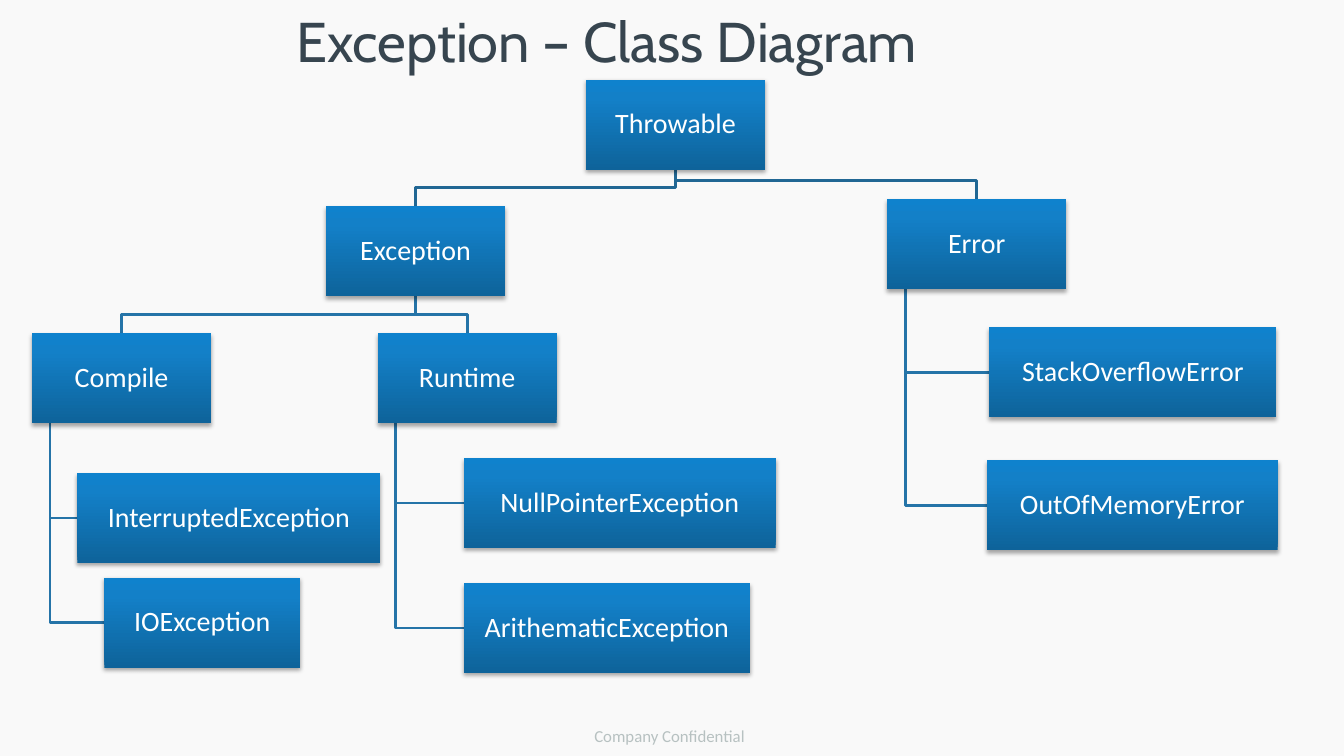
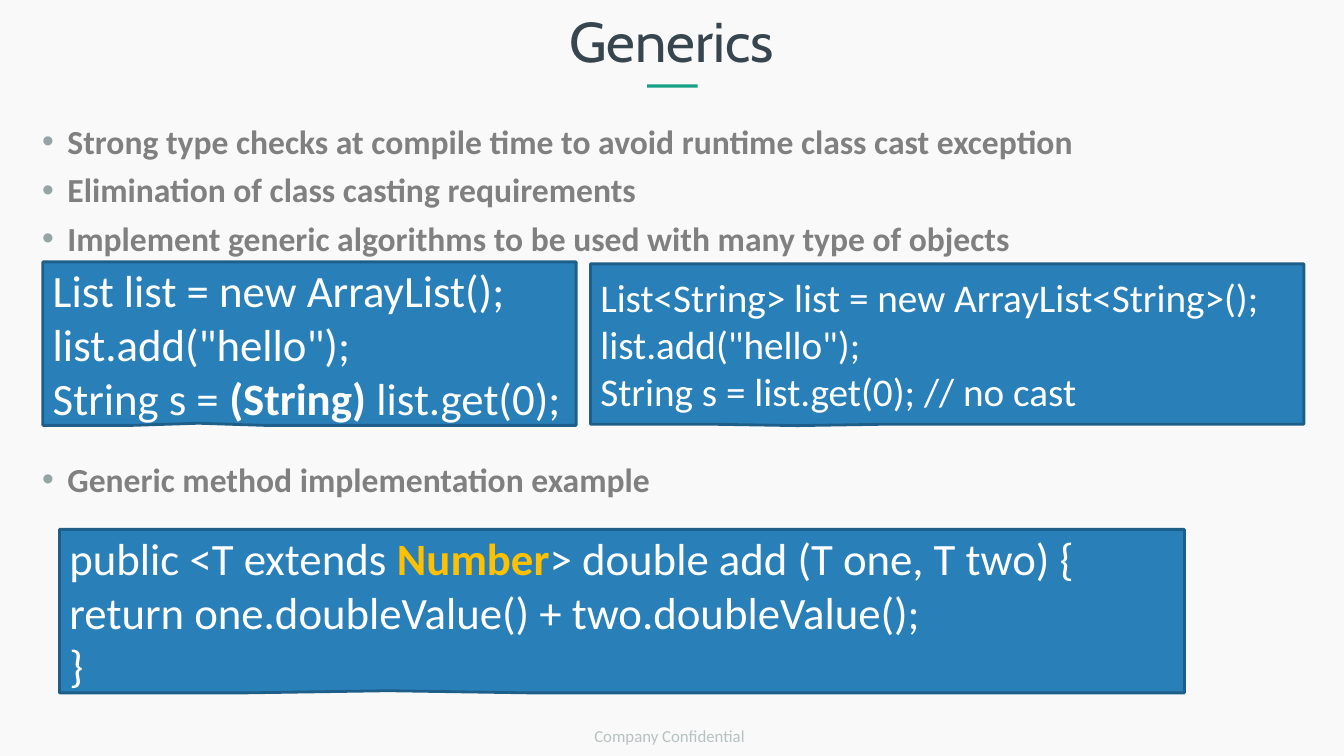
from dataclasses import dataclass

from lxml import etree
from pptx import Presentation
from pptx.dml.color import RGBColor
from pptx.enum.shapes import MSO_SHAPE
from pptx.enum.text import MSO_ANCHOR, PP_ALIGN
from pptx.oxml import parse_xml
from pptx.oxml.ns import qn
from pptx.util import Cm, Pt

RECT = MSO_SHAPE.RECTANGLE
CALL = MSO_SHAPE.RECTANGULAR_CALLOUT
TOP, MID = MSO_ANCHOR.TOP, MSO_ANCHOR.MIDDLE
LEFT, CENTER = PP_ALIGN.LEFT, PP_ALIGN.CENTER
SPACE = 'xmlns:a="http://schemas.openxmlformats.org/drawingml/2006/main"'


@dataclass(frozen=True)
class Theme:
    page: str = "F9F9F9"
    title: str = "37454F"
    accent: str = "16A085"
    footer: str = "B7C1C1"
    body: str = "808080"
    bullet: str = "95A5A6"
    white: str = "FFFFFF"
    gold: str = "FFC000"
    code: str = "2980B9"
    edge: str = "1E5F89"
    trunk: str = "216794"
    branch: str = "2574A8"
    shade: tuple = ((0, "0E639A"), (80, "1380C8"), (100, "0F82CD"))
    head: str = "Cabin"
    text: str = "Calibri"
    big: int = 40
    mid: int = 24
    node: int = 20
    small: int = 12
    line: int = 2


T = Theme()

TITLES = {
    "tree": ("Exception – Class Diagram", (2.64, 0.05, 25.3, 1.95)),
    "types": ("Generics", (8.76, 0.05, 16.33, 1.95)),
}
FOOTER = ("Company Confidential", (12.85, 18.03, 8.05, 1.02))
ACCENT = (16.31, 2.13, 1.27, 0.08)

WIDE, HIGH = 4.51, 2.27
NODES = {
    "Throwable": (14.77, 2.01, WIDE),
    "Exception": (8.22, 5.2, WIDE),
    "Compile": (0.81, 8.4, WIDE),
    "InterruptedException": (1.95, 11.92, 7.64),
    "IOException": (2.63, 14.56, 4.94),
    "Runtime": (9.52, 8.4, WIDE),
    "NullPointerException": (11.69, 11.54, 7.86),
    "ArithematicException": (11.69, 14.69, 7.21),
    "Error": (22.36, 5.02, WIDE),
    "StackOverflowError": (24.93, 8.25, 7.24),
    "OutOfMemoryError": (24.88, 11.6, 7.32),
}
SPLITS = {
    "Throwable": ("Exception", "Error"),
    "Exception": ("Compile", "Runtime"),
}
HANGS = {
    "Compile": ("InterruptedException", "IOException"),
    "Runtime": ("NullPointerException", "ArithematicException"),
    "Error": ("StackOverflowError", "OutOfMemoryError"),
}

BODY = (0.81, 2.72, 32.49, 15.54)
POINTS = [
    ("Strong type checks at compile time to avoid runtime class cast exception", 0),
    ("Elimination of class casting requirements", 0),
    ("Implement generic algorithms to be used with many type of objects", 0),
    ("Generic method implementation example", 138),
]
CODES = [
    ((1.08, 6.6, 13.44, 4.12), (-0.208, 0.487), 32, [
        [("List list = new ArrayList();",)],
        [('list.add("hello");',)],
        [("String s = ",), ("(String) ", T.white, True), ("list.get(0);",)],
    ]),
    ((14.88, 6.65, 17.98, 4.04), (-0.21, 0.509), 28, [
        [("List<String> list = new ArrayList<String>();",)],
        [('list.add("hello");',)],
        [("String s = list.get(0); // no cast",)],
    ]),
    ((1.5, 13.34, 28.35, 4.12), (-0.208, 0.487), 32, [
        [("public <T extends ",), ("Number", T.gold, True),
         ("> double add (T one, T two) {",)],
        [("return one.doubleValue() + two.doubleValue();",)],
        [("}",)],
    ]),
]


def rgb(code):
    return RGBColor.from_string(code)


def place(box):
    return [Cm(v) for v in box]


def write(par, text, size, color, bold=False, font=T.text):
    run = par.add_run()
    run.text = text
    run.font.name, run.font.size, run.font.bold = font, Pt(size), bold
    run.font.color.rgb = rgb(color)


def setup(frame, anchor):
    frame.word_wrap = True
    frame.vertical_anchor = anchor
    return frame


def label(slide, box, anchor, *style, **more):
    frame = setup(slide.shapes.add_textbox(*place(box)).text_frame, anchor)
    par = frame.paragraphs[0]
    par.alignment = CENTER
    write(par, *style, **more)


def block(slide, kind, box, fill=None, edge=None):
    shape = slide.shapes.add_shape(kind, *place(box))
    shape.shadow.inherit = False
    if fill:
        shape.fill.solid()
        shape.fill.fore_color.rgb = rgb(fill)
    if edge:
        shape.line.color.rgb = rgb(edge)
        shape.line.width = Pt(T.line)
    else:
        shape.line.fill.background()
    return shape


def polish(shape):
    props = shape.element.spPr
    stops = "".join(
        f'<a:gs pos="{pos * 1000}"><a:srgbClr val="{color}"/></a:gs>'
        for pos, color in T.shade)
    props.find(qn("a:prstGeom")).addnext(parse_xml(
        f'<a:gradFill {SPACE} rotWithShape="1"><a:gsLst>{stops}</a:gsLst>'
        '<a:lin ang="16200000" scaled="0"/></a:gradFill>'))
    props.find(qn("a:effectLst")).append(parse_xml(
        f'<a:outerShdw {SPACE} blurRad="40000" dist="23000" dir="5400000" '
        'rotWithShape="0"><a:srgbClr val="000000"><a:alpha val="35000"/>'
        '</a:srgbClr></a:outerShdw>'))


def elbow(slide, points, color):
    first, *rest = [tuple(place(p)) for p in points]
    pen = slide.shapes.build_freeform(*first)
    pen.add_line_segments(rest, close=False)
    shape = pen.convert_to_shape()
    shape.shadow.inherit = False
    shape.fill.background()
    shape.line.color.rgb = rgb(color)
    shape.line.width = Pt(T.line)


def split(slide, root, child, color):
    x, y, w = NODES[root]
    cx, cy, cw = NODES[child]
    start, end, bend = x + w / 2, cx + cw / 2, cy - 0.47
    elbow(slide, [(start, y + HIGH), (start, bend), (end, bend), (end, cy)], color)


def hang(slide, root, child):
    x, y, w = NODES[root]
    cx, cy, _ = NODES[child]
    stem, end = x + w / 10, cy + HIGH / 2
    elbow(slide, [(stem, y + HIGH), (stem, end), (cx, end)], T.branch)


def node(slide, name):
    x, y, w = NODES[name]
    shape = block(slide, RECT, (x, y, w, HIGH))
    polish(shape)
    frame = setup(shape.text_frame, MID)
    frame.margin_left = frame.margin_right = Cm(0.03)
    frame.margin_top = frame.margin_bottom = Cm(0.03)
    par = frame.paragraphs[0]
    par.alignment, par.line_spacing = CENTER, 0.9
    write(par, name, T.node, T.white)


def bullet(par):
    props = par._p.get_or_add_pPr()
    props.set("marL", str(Cm(0.64)))
    props.set("indent", str(-Cm(0.64)))
    color = etree.SubElement(props, qn("a:buClr"))
    etree.SubElement(color, qn("a:srgbClr")).set("val", T.bullet)
    etree.SubElement(props, qn("a:buFont")).set("typeface", "Arial")
    etree.SubElement(props, qn("a:buChar")).set("char", "•")


def lines(frame, items):
    for i, item in enumerate(items):
        yield (frame.add_paragraph() if i else frame.paragraphs[0]), item


def code(slide, box, tip, size, rows):
    shape = block(slide, CALL, box, T.code, T.edge)
    for i, value in enumerate(tip):
        shape.adjustments[i] = value
    for par, row in lines(setup(shape.text_frame, MID), rows):
        par.alignment = LEFT
        for text, *look in row:
            color, bold = look or (T.white, False)
            write(par, text, size, color, bold)


def start(deck, key):
    slide = deck.slides.add_slide(deck.slide_layouts[6])
    slide.background.fill.solid()
    slide.background.fill.fore_color.rgb = rgb(T.page)
    text, box = TITLES[key]
    label(slide, box, TOP, text, T.big, T.title, font=T.head)
    text, box = FOOTER
    label(slide, box, MID, text, T.small, T.footer)
    return slide


def tree(deck):
    slide = start(deck, "tree")
    for root, kids in SPLITS.items():
        color = T.trunk if root == "Throwable" else T.branch
        for kid in kids:
            split(slide, root, kid, color)
    for root, kids in HANGS.items():
        for kid in kids:
            hang(slide, root, kid)
    for name in NODES:
        node(slide, name)


def types(deck):
    slide = start(deck, "types")
    block(slide, RECT, ACCENT, T.accent)
    frame = setup(slide.shapes.add_textbox(*place(BODY)).text_frame, TOP)
    for par, (text, gap) in lines(frame, POINTS):
        bullet(par)
        par.line_spacing = 1.2
        if gap:
            par.space_before = Pt(gap)
        write(par, text, T.mid, T.body, True)
    for item in CODES:
        code(slide, *item)


def main():
    deck = Presentation()
    deck.slide_width, deck.slide_height = Cm(33.87), Cm(19.05)
    tree(deck)
    types(deck)
    deck.save("out.pptx")


if __name__ == "__main__":
    main()
